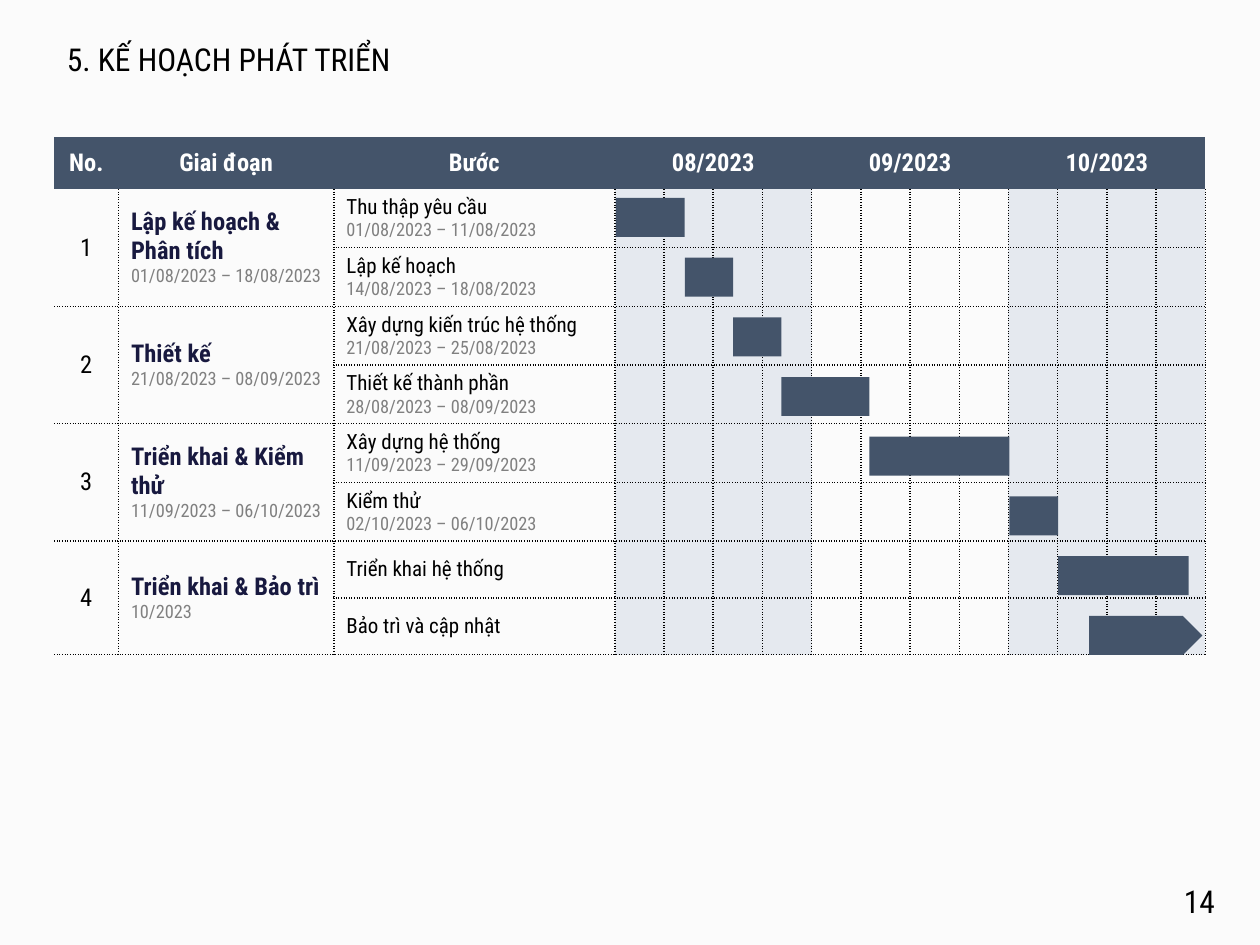
"""Build the development plan slide: a Gantt table with one bar per step."""
from lxml import etree
from pptx import Presentation
from pptx.dml.color import RGBColor
from pptx.enum.shapes import MSO_SHAPE
from pptx.enum.text import MSO_ANCHOR, PP_ALIGN
from pptx.oxml.ns import qn
from pptx.util import Inches, Pt

LEFT, CENTER, RIGHT = PP_ALIGN.LEFT, PP_ALIGN.CENTER, PP_ALIGN.RIGHT
MIDDLE = MSO_ANCHOR.MIDDLE
BAR, ARROW = MSO_SHAPE.RECTANGLE, MSO_SHAPE.PENTAGON

FONT = "Roboto Condensed"
PAPER = RGBColor(0xFB, 0xFB, 0xFB)
SLATE = RGBColor(0x44, 0x54, 0x6A)
SHADE = RGBColor(0xE5, 0xE9, 0xEF)
NAVY = RGBColor(0x18, 0x19, 0x3F)
GREY = RGBColor(0x80, 0x80, 0x80)
BLACK = RGBColor(0, 0, 0)
WHITE = RGBColor(0xFF, 0xFF, 0xFF)

TITLE = "5. KẾ HOẠCH PHÁT TRIỂN"
PAGE_NUMBER = "14"
HEADINGS = ["No.", "Giai đoạn", "Bước"]
MONTHS = ["08/2023", "09/2023", "10/2023"]
STAGES = [
    ("Lập kế hoạch & Phân tích", "01/08/2023 – 18/08/2023"),
    ("Thiết kế", "21/08/2023 – 08/09/2023"),
    ("Triển khai & Kiểm thử", "11/09/2023 – 06/10/2023"),
    ("Triển khai & Bảo trì", "10/2023"),
]
# name, dates, first week, length in weeks, bar shape
STEPS = [
    ("Thu thập yêu cầu", "01/08/2023 – 11/08/2023", 0.02, 1.4, BAR),
    ("Lập kế hoạch", "14/08/2023 – 18/08/2023", 1.42, 0.98, BAR),
    ("Xây dựng kiến trúc hệ thống", "21/08/2023 – 25/08/2023", 2.4, 0.98, BAR),
    ("Thiết kế thành phần", "28/08/2023 – 08/09/2023", 3.38, 1.79, BAR),
    ("Xây dựng hệ thống", "11/09/2023 – 29/09/2023", 5.17, 2.84, BAR),
    ("Kiểm thử", "02/10/2023 – 06/10/2023", 8.01, 0.99, BAR),
    ("Triển khai hệ thống", "", 9, 2.65, BAR),
    ("Bảo trì và cập nhật", "", 9.63, 2.3, ARROW),
]

TABLE_LEFT, TABLE_TOP, TABLE_WIDTH = 0.43, 1.09, 9.14
TEXT_COLUMNS = [0.51, 1.71, 2.23]
WEEKS_PER_MONTH = 4
STEPS_PER_STAGE = 2
WEEKS = WEEKS_PER_MONTH * len(MONTHS)
WEEK_WIDTH = (TABLE_WIDTH - sum(TEXT_COLUMNS)) / WEEKS
CHART_LEFT = TABLE_LEFT + sum(TEXT_COLUMNS)
HEADER_HEIGHT, STEP_HEIGHT = 0.41, 0.45
BAR_TOP, BAR_PITCH, BAR_HEIGHT = 1.57, 0.474, 0.31
NO_STYLE = "{2D5ABB26-0587-4C30-8999-92F81FD0307C}"


def write(para, text, size=14, color=BLACK, bold=False, align=LEFT):
    """Put one formatted run into a paragraph."""
    para.alignment = align
    span = para.add_run()
    span.text = text
    span.font.name = FONT
    span.font.size = Pt(size)
    span.font.bold = bold
    span.font.color.rgb = color


def write_with_dates(frame, name, dates, **style):
    """Write a name and, if there are any, its dates below it."""
    write(frame.paragraphs[0], name, **style)
    if dates:
        write(frame.add_paragraph(), dates, size=10.5, color=GREY)


def set_borders(cell, dotted_sides):
    """Give a cell dotted lines on the named sides and none elsewhere."""
    properties = cell._tc.get_or_add_tcPr()
    for side in "LRTB":
        line = etree.SubElement(properties, qn(f"a:ln{side}"), w=str(Pt(1)))
        if side in dotted_sides:
            solid = etree.SubElement(line, qn("a:solidFill"))
            etree.SubElement(solid, qn("a:srgbClr"), val=str(BLACK))
            etree.SubElement(line, qn("a:prstDash"), val="sysDot")
        else:
            etree.SubElement(line, qn("a:noFill"))


def format_cell(cell, row, column):
    """Set the borders, fill and anchor that follow from a cell's place."""
    month = (column - len(TEXT_COLUMNS)) // WEEKS_PER_MONTH
    sides = "" if row == 0 else "RB" + "L" * (column > 0) + "T" * (row > 1)
    set_borders(cell, sides)
    cell.vertical_anchor = MIDDLE
    if row == 0 or (month >= 0 and month % 2 == 0):
        cell.fill.solid()
        cell.fill.fore_color.rgb = SHADE if row else SLATE
    else:
        cell.fill.background()


def add_plan_table(page):
    """Add the table of stages, steps and weeks."""
    height = HEADER_HEIGHT + STEP_HEIGHT * len(STEPS)
    widths = TEXT_COLUMNS + [WEEK_WIDTH] * WEEKS
    frame = page.shapes.add_table(
        len(STEPS) + 1, len(widths), Inches(TABLE_LEFT), Inches(TABLE_TOP),
        Inches(TABLE_WIDTH), Inches(height))
    table = frame.table
    table.first_row = table.horz_banding = False
    table._tbl.tblPr.find(qn("a:tableStyleId")).text = NO_STYLE
    for column, width in zip(table.columns, widths):
        column.width = Inches(width)
    for index, row in enumerate(table.rows):
        row.height = Inches(STEP_HEIGHT if index else HEADER_HEIGHT)
        for place, cell in enumerate(row.cells):
            format_cell(cell, index, place)

    header = dict(color=WHITE, bold=True, align=CENTER)
    for column, text in enumerate(HEADINGS):
        write(table.cell(0, column).text_frame.paragraphs[0], text, **header)
    for index, text in enumerate(MONTHS):
        first = len(TEXT_COLUMNS) + index * WEEKS_PER_MONTH
        cell = table.cell(0, first)
        cell.merge(table.cell(0, first + WEEKS_PER_MONTH - 1))
        write(cell.text_frame.paragraphs[0], text, **header)

    for index, (name, dates) in enumerate(STAGES):
        top = 1 + index * STEPS_PER_STAGE
        for column in range(2):
            table.cell(top, column).merge(
                table.cell(top + STEPS_PER_STAGE - 1, column))
        number = table.cell(top, 0).text_frame.paragraphs[0]
        write(number, str(index + 1), align=CENTER)
        write_with_dates(table.cell(top, 1).text_frame, name, dates,
                         color=NAVY, bold=True)
    for row, (name, dates, *_) in enumerate(STEPS, 1):
        write_with_dates(table.cell(row, 2).text_frame, name, dates, size=12)


def add_bars(page):
    """Draw each step's bar over its weeks."""
    for row, (*_, start, length, outline) in enumerate(STEPS):
        bar = page.shapes.add_shape(
            outline, Inches(CHART_LEFT + start * WEEK_WIDTH),
            Inches(BAR_TOP + row * BAR_PITCH),
            Inches(length * WEEK_WIDTH), Inches(BAR_HEIGHT))
        bar.shadow.inherit = False
        bar.fill.solid()
        bar.fill.fore_color.rgb = SLATE
        bar.line.fill.background()


def main():
    """Assemble and save the deck."""
    deck = Presentation()
    deck.slide_width, deck.slide_height = Inches(10), Inches(7.5)
    page = deck.slides.add_slide(deck.slide_layouts[5])
    page.background.fill.solid()
    page.background.fill.fore_color.rgb = PAPER

    title = page.shapes.title
    title.left, title.top = Inches(TABLE_LEFT), Inches(0.31)
    title.width, title.height = Inches(TABLE_WIDTH), Inches(0.35)
    title.text_frame.vertical_anchor = MIDDLE
    title.text_frame.paragraphs[0].line_spacing = 0.9
    write(title.text_frame.paragraphs[0], TITLE, size=18)

    add_plan_table(page)
    add_bars(page)

    box = page.shapes.add_textbox(
        Inches(7.49), Inches(6.95), Inches(2.25), Inches(0.4))
    box.text_frame.word_wrap = True
    box.text_frame.vertical_anchor = MIDDLE
    write(box.text_frame.paragraphs[0], PAGE_NUMBER, size=18, align=RIGHT)
    deck.save("out.pptx")


if __name__ == "__main__":
    main()
